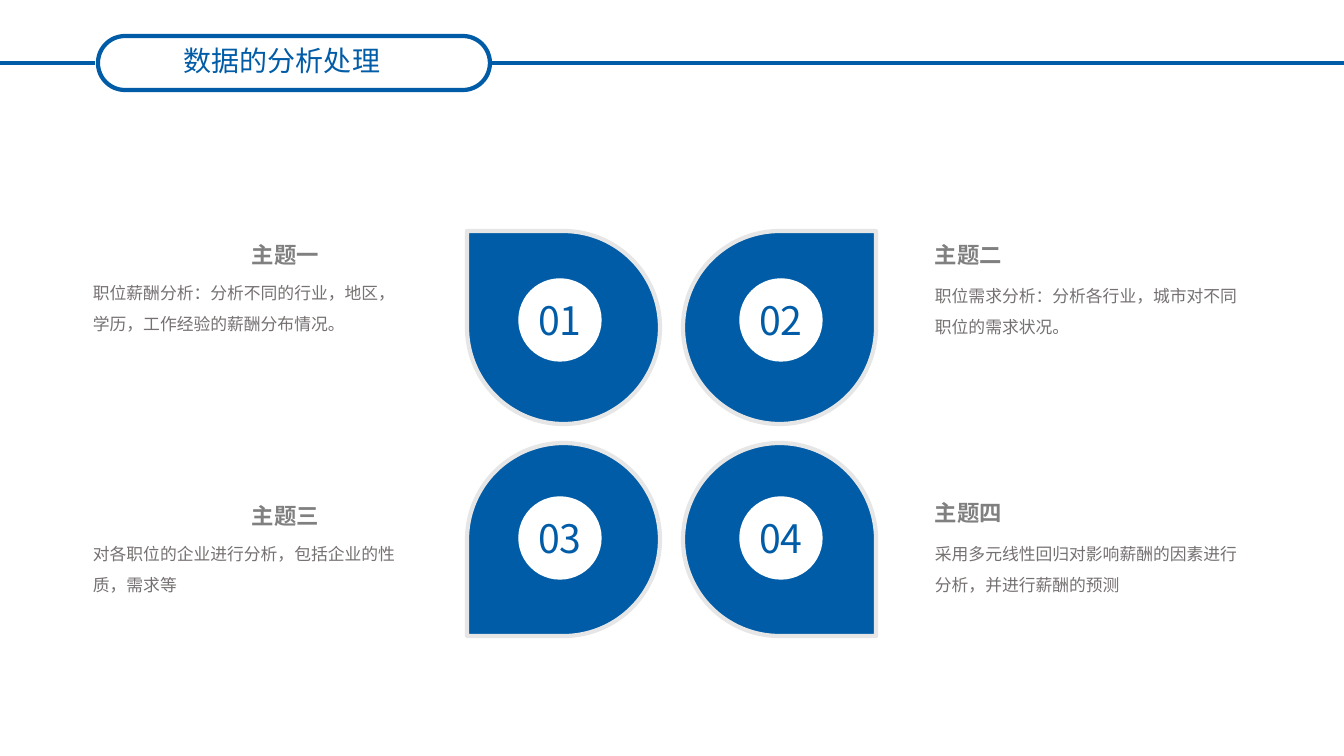
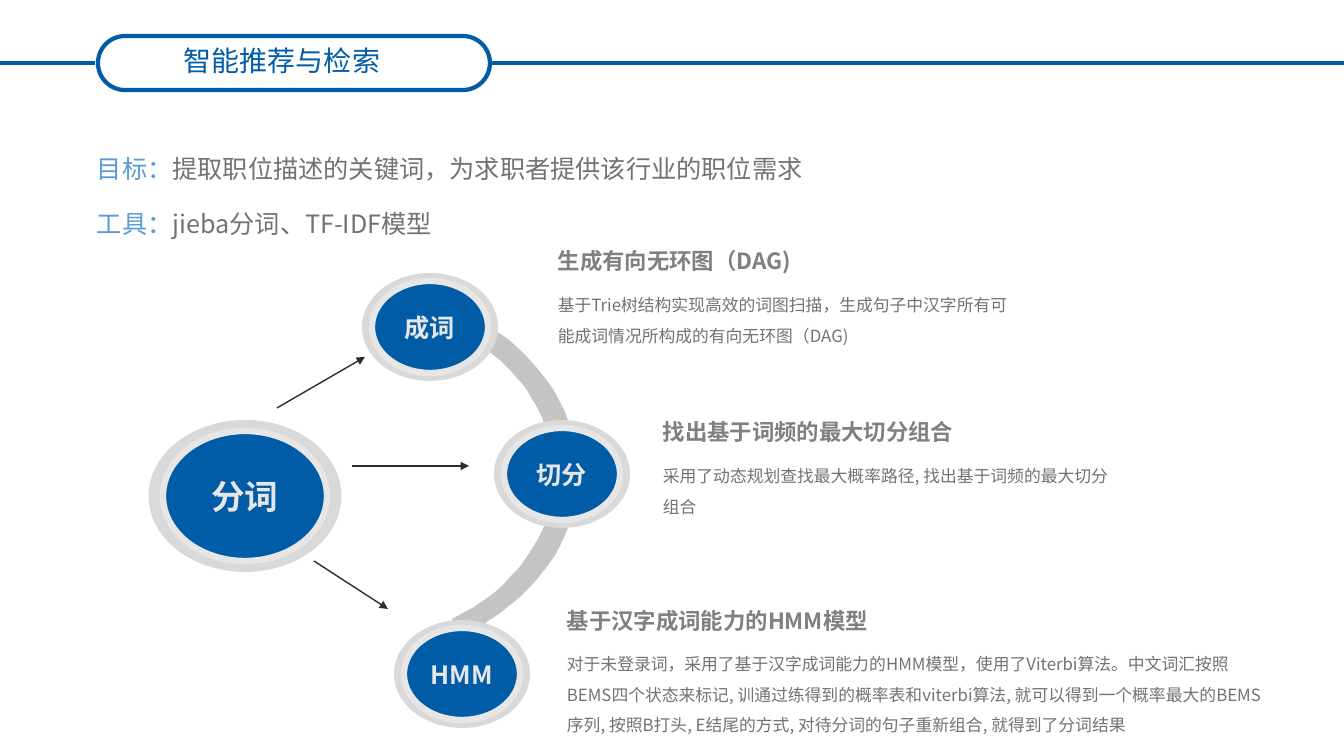
from lxml import etree
from pptx import Presentation
from pptx.dml.color import RGBColor
from pptx.enum.shapes import MSO_CONNECTOR, MSO_SHAPE
from pptx.enum.text import MSO_ANCHOR as ANCHOR, PP_ALIGN as ALIGN
from pptx.oxml.ns import qn
from pptx.util import Pt

PX = 914400 / 100.8
FONT = "Noto Sans CJK SC"
BLUE = RGBColor(0x00, 0x5C, 0xA7)
LIGHT_BLUE = RGBColor(0x5B, 0x9B, 0xD5)
WHITE = RGBColor(0xFF, 0xFF, 0xFF)
PALE = RGBColor(0xE7, 0xE6, 0xE6)
RING_GRAY = RGBColor(0xD9, 0xD9, 0xD9)
ARC_GRAY = RGBColor(0xC5, 0xC3, 0xC3)
HEADING_GRAY = RGBColor(0x80, 0x80, 0x80)
BODY_GRAY = RGBColor(0x76, 0x71, 0x71)
ARROW_BLACK = RGBColor(0x2E, 0x2C, 0x2C)


def write(shape, runs, size, bold=False, align=ALIGN.LEFT, anchor=ANCHOR.MIDDLE, spacing=None):
    """Fill a shape with one paragraph made of (text, colour) runs."""
    frame = shape.text_frame
    frame.word_wrap = True
    frame.vertical_anchor = anchor
    paragraph = frame.paragraphs[0]
    paragraph.alignment = align
    paragraph.line_spacing = spacing
    font = paragraph.font
    font.size, font.bold, font.name = Pt(size), bold, FONT
    etree.SubElement(font._rPr, qn("a:ea"), typeface=FONT)
    for text, colour in runs:
        run = paragraph.add_run()
        run.text = text
        run.font.color.rgb = colour


def add_shape(slide, kind, box, fill=None, line=None, width=0):
    shape = slide.shapes.add_shape(kind, *[round(n * PX) for n in box])
    shape.shadow.inherit = False
    if fill is None:
        shape.fill.background()
    else:
        shape.fill.solid()
        shape.fill.fore_color.rgb = fill
    if line is None:
        shape.line.fill.background()
    else:
        shape.line.color.rgb = line
        shape.line.width = Pt(width)
    frame = shape.text_frame
    frame.margin_left = frame.margin_right = frame.margin_top = frame.margin_bottom = 0
    return shape


presentation = Presentation()
presentation.slide_width = round(1344 * PX)
presentation.slide_height = round(756 * PX)

# Shared title band
for title in ("数据的分析处理", "智能推荐与检索"):
    slide = presentation.slides.add_slide(presentation.slide_layouts[6])
    for left, right in ((0, 95), (490, 1344)):
        rule = slide.shapes.add_connector(
            MSO_CONNECTOR.STRAIGHT, *[round(n * PX) for n in (left, 63, right, 63)])
        rule.line.color.rgb = BLUE
        rule.line.width = Pt(3)
    pill = add_shape(slide, MSO_SHAPE.ROUNDED_RECTANGLE, (98, 36, 392, 54), None, BLUE, 3)
    pill.adjustments[0] = 0.5
    title_box = slide.shapes.add_textbox(*[round(n * PX) for n in (98, 34, 368, 53)])
    write(title_box, [(title, BLUE)], 20, align=ALIGN.CENTER)

analysis_slide, search_slide = presentation.slides

# Four numbered petals, each pointing to its outer corner
for index, rotation in enumerate((270, 0, 180, 90)):
    row, column = divmod(index, 2)
    petal = add_shape(analysis_slide, MSO_SHAPE.TEAR,
                      (467 + 216 * column, 231 + 212 * row, 193, 193), BLUE, PALE, 3)
    petal.rotation = rotation
    disc = add_shape(analysis_slide, MSO_SHAPE.OVAL,
                     (519 + 221 * column, 279 + 218 * row, 82, 82), WHITE, WHITE, 1)
    write(disc, [(f"{index + 1:02}", BLUE)], 28, align=ALIGN.CENTER)

# Goal and tools
for top, label, text in (
    (148, "目标：", "提取职位描述的关键词，为求职者提供该行业的职位需求"),
    (203, "工具：", "jieba分词、TF-IDF模型"),
):
    line_box = search_slide.shapes.add_textbox(*[round(n * PX) for n in (87, top, 756, 40)])
    write(line_box, [(label, LIGHT_BLUE), (text, BODY_GRAY)], 18)

# Curved band behind the three steps: inner edge down, outer edge back up
edges = (
    ((448, 326), (511, 356), (554, 410), (554, 474)),
    ((554, 474), (554, 535), (513, 590), (452, 619)),
    ((463, 635), (532, 602), (578, 542), (578, 474)),
    ((578, 474), (578, 404), (530, 343), (459, 309)),
)
STEPS = 16
points = []
for edge in edges:
    for step in range(STEPS + 1):
        t = step / STEPS
        weights = ((1 - t) ** 3, 3 * t * (1 - t) ** 2, 3 * t * t * (1 - t), t ** 3)
        points.append([sum(w * point[axis] for w, point in zip(weights, edge)) for axis in (0, 1)])
builder = search_slide.shapes.build_freeform(*points[0], scale=PX)
builder.add_line_segments(points[1:], close=True)
arc = builder.convert_to_shape()
arc.shadow.inherit = False
arc.fill.solid()
arc.fill.fore_color.rgb = ARC_GRAY
arc.line.fill.background()

for ends in ((277, 408, 365, 357), (352, 466, 469, 466), (314, 561, 388, 609)):
    arrow = search_slide.shapes.add_connector(
        MSO_CONNECTOR.STRAIGHT, *[round(n * PX) for n in ends])
    arrow.line.color.rgb = ARROW_BLACK
    arrow.line.width = Pt(1)
    etree.SubElement(arrow.line._get_or_add_ln(), qn("a:tailEnd"), type="triangle")

# Ringed ellipses: centre, outer size, inner size
SMALL = (136, 108, 116, 92)
for text, x, y, (outer_w, outer_h, inner_w, inner_h), size in (
    ("分词", 245, 496, (193, 152, 164, 130), 24),
    ("成词", 430, 327, SMALL, 18),
    ("切分", 562, 474, SMALL, 18),
    ("HMM", 462, 674, SMALL, 18),
):
    add_shape(search_slide, MSO_SHAPE.OVAL,
              (x - outer_w / 2, y - outer_h / 2, outer_w, outer_h), RING_GRAY)
    core = add_shape(search_slide, MSO_SHAPE.OVAL,
                     (x - inner_w / 2, y - inner_h / 2, inner_w, inner_h), BLUE, PALE, 4.5)
    write(core, [(text, PALE)], size, bold=True, align=ALIGN.CENTER)

# Headings with their explanations
for slide, heading, heading_at, body, body_box in (
    (analysis_slide, "主题一", (242, 236),
     "职位薪酬分析：分析不同的行业，地区，学历，工作经验的薪酬分布情况。", (83, 268, 336, 68)),
    (analysis_slide, "主题二", (925, 236),
     "职位需求分析：分析各行业，城市对不同职位的需求状况。", (925, 271, 336, 68)),
    (analysis_slide, "主题三", (242, 497),
     "对各职位的企业进行分析，包括企业的性质，需求等", (83, 529, 336, 68)),
    (analysis_slide, "主题四", (925, 494),
     "采用多元线性回归对影响薪酬的因素进行分析，并进行薪酬的预测", (925, 529, 336, 68)),
    (search_slide, "生成有向无环图（DAG)", (548, 242),
     "基于Trie树结构实现高效的词图扫描，生成句子中汉字所有可能成词情况所构成的有向无环图（DAG)",
     (548, 280, 479, 68)),
    (search_slide, "找出基于词频的最大切分组合", (653, 413),
     "采用了动态规划查找最大概率路径, 找出基于词频的最大切分组合", (653, 451, 479, 68)),
    (search_slide, "基于汉字成词能力的HMM模型", (557, 602),
     "对于未登录词，采用了基于汉字成词能力的HMM模型，使用了Viterbi算法。中文词汇按照"
     "BEMS四个状态来标记, 训通过练得到的概率表和viterbi算法, 就可以得到一个概率最大的"
     "BEMS序列, 按照B打头, E结尾的方式, 对待分词的句子重新组合, 就得到了分词结果",
     (557, 639, 715, 98)),
):
    heading_box = slide.shapes.add_textbox(*[round(n * PX) for n in (*heading_at, 400, 37)])
    write(heading_box, [(heading, HEADING_GRAY)], 16, bold=True)
    text_box = slide.shapes.add_textbox(*[round(n * PX) for n in body_box])
    write(text_box, [(body, BODY_GRAY)], 12, anchor=ANCHOR.TOP, spacing=Pt(21.6))

# Connectors carry no shadow
for slide in presentation.slides:
    for connector in slide.element.iter(qn("p:cxnSp")):
        etree.SubElement(connector.spPr, qn("a:effectLst"))

presentation.save("out.pptx")
